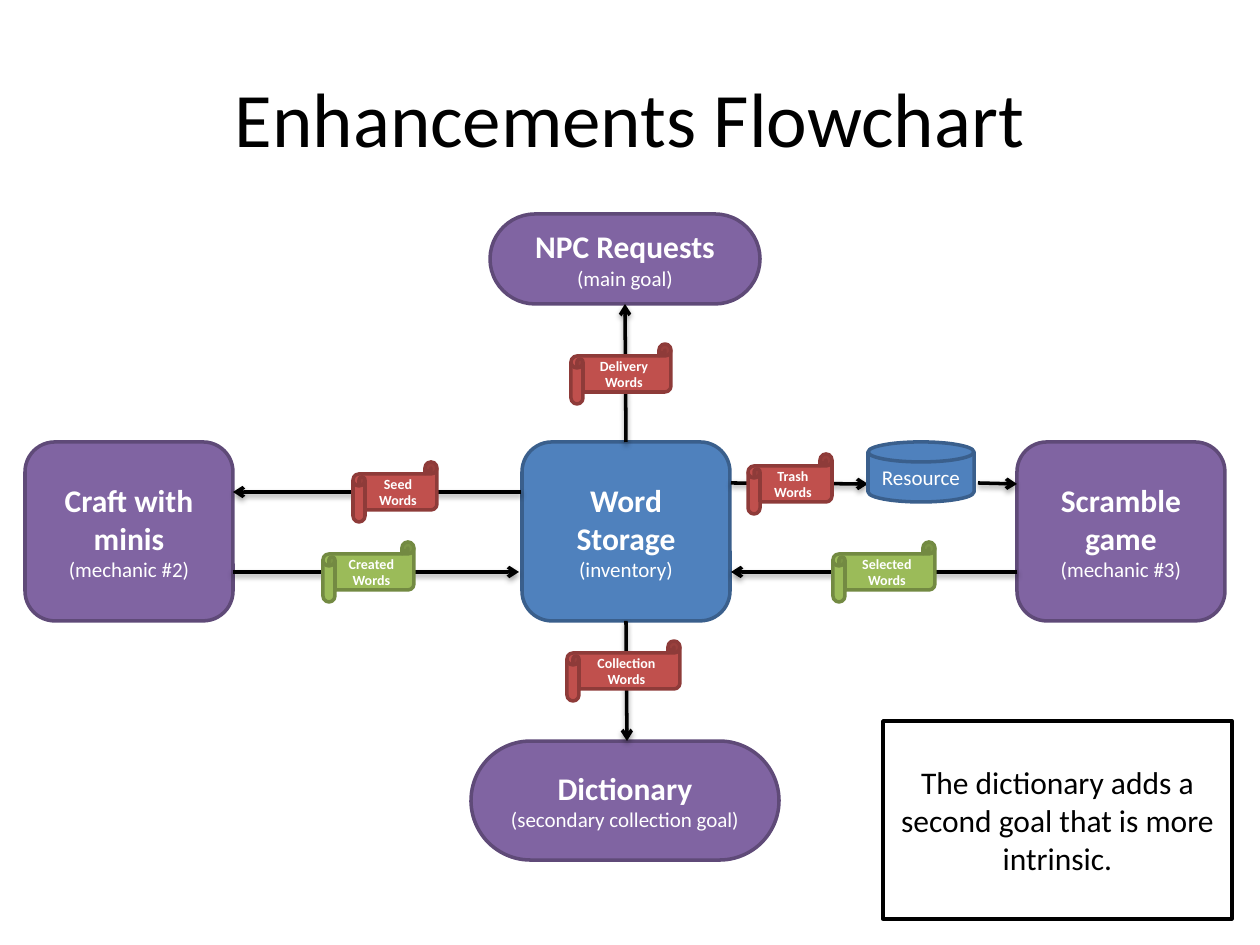
from dataclasses import dataclass

from lxml.etree import SubElement
from pptx import Presentation
from pptx.dml.color import RGBColor
from pptx.enum.shapes import MSO_CONNECTOR as Connector, MSO_SHAPE as Shape
from pptx.enum.text import MSO_ANCHOR as Anchor, PP_ALIGN as Align
from pptx.oxml.ns import qn
from pptx.util import Pt

PX = 7257.14


@dataclass(frozen=True)
class Theme:
    font: str = "Calibri"
    black: str = "000000"
    white: str = "FFFFFF"
    blue: tuple = ("4F81BD", "3A5F8C")
    purple: tuple = ("8064A2", "5F4A78")
    red: tuple = ("C0504D", "8E3B39")
    green: tuple = ("9BBB59", "738A42")
    plain: tuple = ("FFFFFF", "000000")
    title: int = 44
    heading: int = 18
    detail: int = 12
    label: int = 8
    line: int = 2


THEME = Theme()


def px(*lengths):
    return [round(length * PX) for length in lengths]


def rgb(value):
    return RGBColor.from_string(value)


def write_line(para, text, size, color=THEME.white, bold=False):
    para.text = text
    para.alignment = Align.CENTER
    for span in para.runs:
        span.font.name = THEME.font
        span.font.size = Pt(size)
        span.font.bold = bold
        span.font.color.rgb = rgb(color)


def add_title(page, text):
    title = page.shapes.title
    title.left, title.top, title.width, title.height = px(63, 38, 1134, 157)
    title.text_frame.vertical_anchor = Anchor.MIDDLE
    write_line(title.text_frame.paragraphs[0], text, THEME.title, THEME.black)


def add_box(page, kind, bounds, colors, adjustment=None):
    box = page.shapes.add_shape(kind, *px(*bounds))
    box.shadow.inherit = False
    fill, outline = colors
    box.fill.solid()
    box.fill.fore_color.rgb = rgb(fill)
    box.line.color.rgb = rgb(outline)
    box.line.width = Pt(THEME.line)
    if adjustment is not None:
        box.adjustments[0] = adjustment
    box.text_frame.word_wrap = True
    box.text_frame.vertical_anchor = Anchor.MIDDLE
    return box.text_frame


def add_node(page, bounds, colors, heading, detail, adjustment=None):
    frame = add_box(page, Shape.ROUNDED_RECTANGLE, bounds, colors, adjustment)
    write_line(frame.paragraphs[0], heading, THEME.heading, bold=True)
    write_line(frame.add_paragraph(), detail, THEME.detail)


def add_scroll(page, left, top, width, colors, text):
    frame = add_box(page, Shape.HORIZONTAL_SCROLL, (left, top, width, 60), colors, 0.2)
    write_line(frame.paragraphs[0], text, THEME.label, bold=True)


def add_arrow(page, *ends):
    arrow = page.shapes.add_connector(Connector.STRAIGHT, *px(*ends))
    arrow.line.color.rgb = rgb(THEME.black)
    arrow.line.width = Pt(THEME.line)
    properties = arrow.element.spPr
    SubElement(properties.find(qn("a:ln")), qn("a:tailEnd"), type="arrow")
    effects = SubElement(properties, qn("a:effectLst"))
    shadow = SubElement(effects, qn("a:outerShdw"), blurRad="40000",
                        dist="20000", dir="5400000", rotWithShape="0")
    color = SubElement(shadow, qn("a:srgbClr"), val=THEME.black)
    SubElement(color, qn("a:alpha"), val="38000")


def main():
    deck = Presentation()
    deck.slide_width, deck.slide_height = px(1260, 945)
    page = deck.slides.add_slide(deck.slide_layouts[5])
    add_title(page, "Enhancements Flowchart")

    for left, colors, heading, detail in (
        (25, THEME.purple, "Craft with minis", "(mechanic #2)"),
        (522, THEME.blue, "Word Storage", "(inventory)"),
        (1017, THEME.purple, "Scramble game", "(mechanic #3)"),
    ):
        add_node(page, (left, 442, 208, 179), colors, heading, detail)
    for bounds, heading, detail in (
        ((490, 214, 270, 90), "NPC Requests", "(main goal)"),
        ((471, 741, 308, 119), "Dictionary", "(secondary collection goal)"),
    ):
        add_node(page, bounds, THEME.purple, heading, detail, 0.5)

    for ends in (
        (521, 492, 233, 492),
        (233, 572, 519, 572),
        (731, 483, 868, 484),
        (978, 483, 1017, 484),
        (1017, 572, 731, 572),
        (626, 442, 625, 304),
        (626, 621, 627, 741),
    ):
        add_arrow(page, *ends)

    for left, top, width, colors, text in (
        (353, 462, 84, THEME.red, "Seed Words"),
        (323, 542, 91, THEME.green, "Created Words"),
        (748, 454, 84, THEME.red, "Trash\vWords"),
        (833, 542, 102, THEME.green, "Selected Words"),
        (571, 344, 100, THEME.red, "Delivery Words"),
        (567, 641, 113, THEME.red, "Collection Words"),
    ):
        add_scroll(page, left, top, width, colors, text)

    resource = add_box(page, Shape.FLOWCHART_MAGNETIC_DISK, (868, 442, 106, 60), THEME.blue)
    write_line(resource.paragraphs[0], "Resource", THEME.detail)
    note = add_box(page, Shape.RECTANGLE, (883, 721, 349, 198), THEME.plain)
    write_line(note.paragraphs[0], "The dictionary adds a second goal that is more intrinsic.",
               THEME.heading, THEME.black)

    deck.save("out.pptx")


if __name__ == "__main__":
    main()
